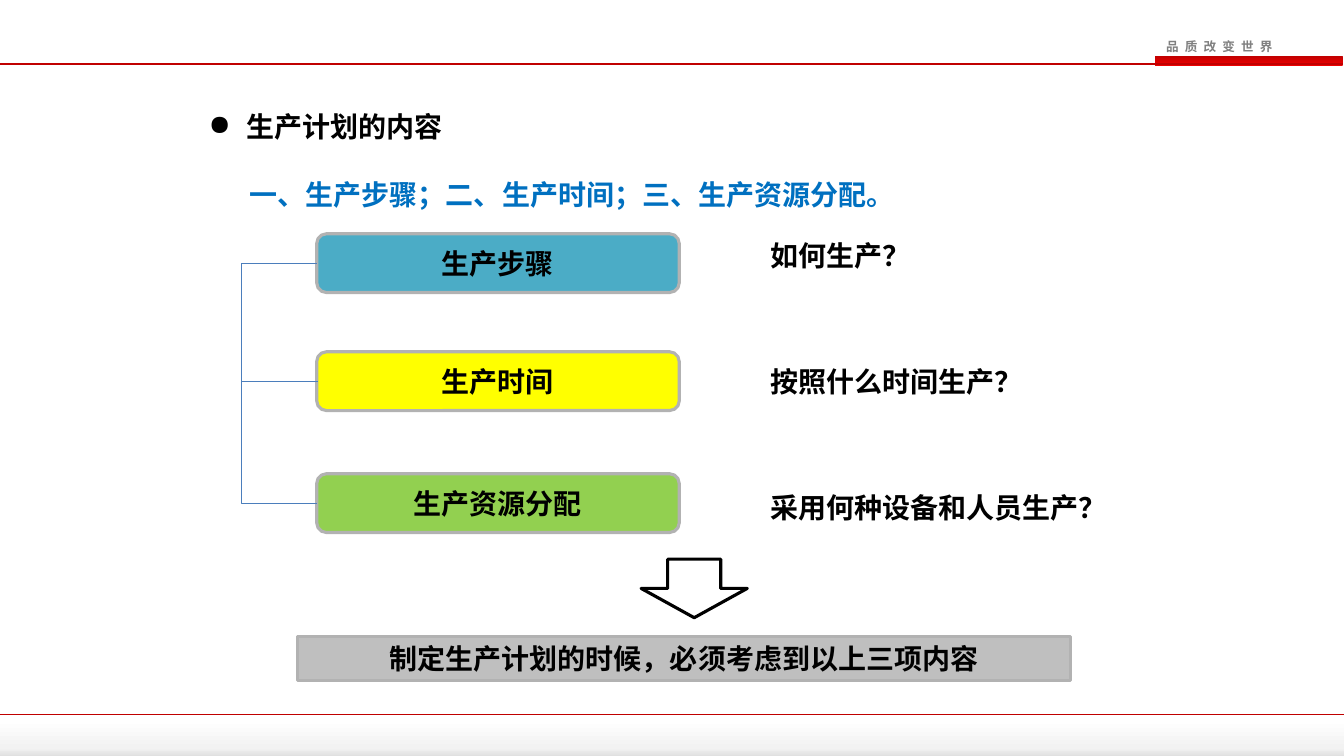
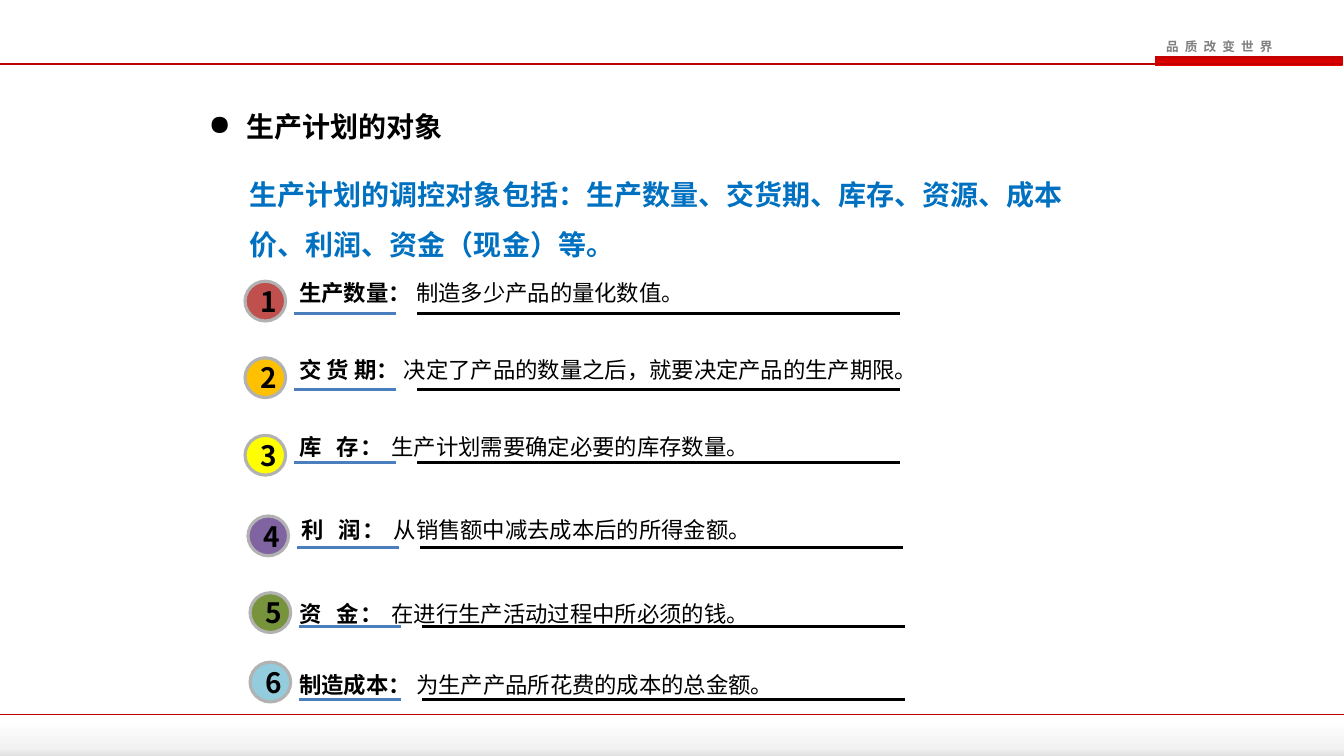
import copy

import pptx
import pptx.dml.color
import pptx.enum.shapes
import pptx.enum.text
import pptx.oxml
import pptx.oxml.ns
import pptx.util

Pt = pptx.util.Pt
RGBColor = pptx.dml.color.RGBColor
Shape = pptx.enum.shapes.MSO_SHAPE
Connector = pptx.enum.shapes.MSO_CONNECTOR
Align = pptx.enum.text.PP_ALIGN
Anchor = pptx.enum.text.MSO_ANCHOR
qn = pptx.oxml.ns.qn

SANS = "Noto Sans CJK SC"
LATIN = "Arial"
BLACK = RGBColor(0, 0, 0)
WHITE = RGBColor(255, 255, 255)
GRAY = RGBColor(0x80, 0x80, 0x80)
BORDER = RGBColor(0xB2, 0xB2, 0xB2)
SILVER = RGBColor(0xBF, 0xBF, 0xBF)
PALE = RGBColor(0xF2, 0xF2, 0xF2)
SHADE = RGBColor(0xDC, 0xDC, 0xDC)
DARK_RED = RGBColor(0xC0, 0, 0)
RED = RGBColor(0xEE, 0, 0)
BLUE = RGBColor(0, 0x70, 0xC0)
RULE_BLUE = RGBColor(0x4B, 0x7E, 0xBC)
TEAL = RGBColor(0x4B, 0xAC, 0xC6)
YELLOW = RGBColor(255, 255, 0)
GREEN = RGBColor(0x92, 0xD0, 0x50)
BRICK = RGBColor(0xC0, 0x50, 0x4D)
AMBER = RGBColor(255, 0xC0, 0)
PURPLE = RGBColor(0x80, 0x64, 0xA2)
OLIVE = RGBColor(0x77, 0x93, 0x3C)
SKY = RGBColor(0x93, 0xCD, 0xDD)

WIDTH, HEIGHT = 960, 540
SLOGAN = "品 质 改 变 世 界"
TIGHT = (4.3, 2.2, 4.3, 2.2)
NORMAL = (7.2, 3.6, 7.2, 3.6)

CONTENT_TITLE = "生产计划的内容"
CONTENT_LEAD = "一、生产步骤；二、生产时间；三、生产资源分配。"
STEPS = [
    ("生产步骤", TEAL, 167, "如何生产？", 167, 111),
    ("生产时间", YELLOW, 251.3, "按照什么时间生产？", 257, 200),
    ("生产资源分配", GREEN, 338.4, "采用何种设备和人员生产？", 347, 242.6),
]
CONCLUSION = "制定生产计划的时候，必须考虑到以上三项内容"

TARGET_TITLE = "生产计划的对象"
TARGET_LEAD = "生产计划的调控对象包括：生产数量、交货期、库存、资源、成本价、利润、资金（现金）等。"
TARGETS = [
    ("生产数量： ", 0, "制造多少产品的量化数值。", BRICK, 175, 200.9, 209.5, 191.5, 223.9),
    ("交 货 期： ", 0, "决定了产品的数量之后，就要决定产品的生产期限。", AMBER, 175, 255.6, 209.5, 246.2, 278),
    ("库 存： ", 3.6, "生产计划需要确定必要的库存数量。", YELLOW, 175, 311, 209.5, 301.7, 330.5),
    ("利 润： ", 3.6, "从销售额中减去成本后的所得金额。", PURPLE, 177.1, 368.6, 211, 360.7, 391),
    ("资 金： ", 3.6, "在进行生产活动过程中所必须的钱。", OLIVE, 178.6, 423.4, 209.5, 420.5, 447.5),
    ("制造成本： ", 0, "为生产产品所花费的成本的总金额。", SKY, 178.6, 473, 209.5, 471.6, 499.7),
]


def style(span, size, color=BLACK, bold=True, font=SANS, spacing=0):
    span.font.size = Pt(size)
    span.font.bold = bold
    span.font.color.rgb = color
    span.font.name = font
    properties = span.font._element
    east_asian = properties.makeelement(qn("a:ea"), {"typeface": SANS})
    properties.find(qn("a:latin")).addnext(east_asian)
    if spacing:
        properties.set("spc", str(round(spacing * 100)))


def add_text(page, place, text, size=20, insets=NORMAL, wrap=True, line_spacing=None, **look):
    box = page.shapes.add_textbox(*map(Pt, place))
    frame = box.text_frame
    frame.word_wrap = wrap
    (frame.margin_left, frame.margin_top,
     frame.margin_right, frame.margin_bottom) = map(Pt, insets)
    para = frame.paragraphs[0]
    para.text = text
    if line_spacing:
        para.line_spacing = line_spacing
    for span in para.runs:
        style(span, size, **look)
    return para


def add_block(page, kind, place, fill=None, line=None, text=None):
    block = page.shapes.add_shape(kind, *map(Pt, place))
    block.shadow.inherit = False
    if fill is None:
        block.fill.background()
    else:
        block.fill.solid()
        block.fill.fore_color.rgb = fill
    if line is None:
        block.line.fill.background()
    else:
        block.line.color.rgb = line
        block.line.width = Pt(2.25)
    if text:
        frame = block.text_frame
        frame.word_wrap = True
        frame.vertical_anchor = Anchor.MIDDLE
        para = frame.paragraphs[0]
        para.text = text
        para.alignment = Align.CENTER
        style(para.runs[0], 20)
    return block


def add_band(page, place, stops):
    band = add_block(page, Shape.RECTANGLE, place)
    band.fill.gradient()
    band.fill.gradient_angle = 270
    stop_list = next(band._element.spPr.iter(qn("a:gsLst")))
    while len(stop_list) < len(stops):
        stop_list.append(copy.deepcopy(stop_list[-1]))
    for stop, (position, color) in zip(band.fill.gradient_stops, stops):
        stop.position = position
        stop.color.rgb = color


def add_line(page, start, end, color, width, kind=Connector.STRAIGHT):
    line = page.shapes.add_connector(kind, *map(Pt, start + end))
    line.line.color.rgb = color
    line.line.width = Pt(width)
    properties = line._element.spPr
    properties.append(properties.makeelement(qn("a:effectLst"), {}))
    return line


def add_bracket(page, start, end, spine):
    bracket = add_line(page, start, end, RULE_BLUE, 0.75, Connector.ELBOW)
    bend = round((start[0] - spine) / (start[0] - end[0]) * 100000)
    geometry = bracket._element.spPr.find(qn("a:prstGeom"))
    guides = geometry.get_or_add_avLst()
    guides.append(guides.makeelement(qn("a:gd"), {"name": "adj1", "fmla": f"val {bend}"}))


def add_page(deck, title, lead, lead_height):
    page = deck.slides.add_slide(deck.slide_layouts[6])
    add_band(page, (0, 514, WIDTH, 27), [(0, WHITE), (0.75, PALE), (1, SHADE)])
    add_line(page, (0, 510.3), (WIDTH, 510.3), DARK_RED, 1)
    add_band(page, (825, 40, 134, 6.5), [(0, DARK_RED), (1, RED)])
    add_text(page, (825.8, 24.5, 98, 18), SLOGAN, 9, wrap=False, color=GRAY, spacing=1.2)
    add_line(page, (0, 45.5), (959, 45.5), DARK_RED, 1.5)
    add_text(page, (174, 112.3, 591, lead_height), lead, insets=TIGHT,
             line_spacing=1.5, color=BLUE, font=LATIN)
    heading = add_text(page, (142, 75, 653, 31.5), title)
    properties = heading._p.get_or_add_pPr()
    properties.set("marL", str(Pt(27)))
    properties.set("indent", str(-Pt(27)))
    properties.append(properties.makeelement(qn("a:buChar"), {"char": "●"}))
    return page


def build_content(deck):
    page = add_page(deck, CONTENT_TITLE, CONTENT_LEAD, 40.5)
    left, height = 226.2, 42
    for label, color, top, question, question_top, width in STEPS:
        add_block(page, Shape.ROUNDED_RECTANGLE, (left, top, 259, height), color, BORDER, label)
        add_text(page, (543, question_top, width, 31.5), question)
    first, middle, last = [step[2] + height / 2 for step in STEPS]
    for end in (first, last):
        add_bracket(page, (left + 1, middle), (left, end), 172.3)
    add_block(page, Shape.RECTANGLE, (212.4, 454.8, 552.5, 31.3), SILVER, BORDER, CONCLUSION)
    add_block(page, Shape.DOWN_ARROW, (458, 399.4, 75.8, 41.8), line=BLACK)


def build_targets(deck):
    page = add_page(deck, TARGET_TITLE, TARGET_LEAD, 77)
    for number, target in enumerate(TARGETS, 1):
        label, gap, detail, color, left, top, text_left, text_top, rule = target
        para = add_text(page, (text_left, text_top, 594, 29.5), label[:2], 16,
                        TIGHT, line_spacing=1.3, spacing=gap)
        for text, bold, spacing in ((label[2:], True, gap / 3), (detail, False, 0)):
            span = para.add_run()
            span.text = text
            style(span, 16, bold=bold, spacing=spacing)
        add_block(page, Shape.OVAL, (left, top, 29, 28.4), color, BORDER, str(number))
        for offset, length, rule_color in ((35.2, 73, RULE_BLUE), (123.2, 344.5, BLACK)):
            start = left + offset
            add_line(page, (start, rule), (start + length, rule), rule_color, 2.25)


def main():
    deck = pptx.Presentation()
    deck.slide_width, deck.slide_height = Pt(WIDTH), Pt(HEIGHT)
    build_content(deck)
    build_targets(deck)
    deck.save("out.pptx")


if __name__ == "__main__":
    main()
